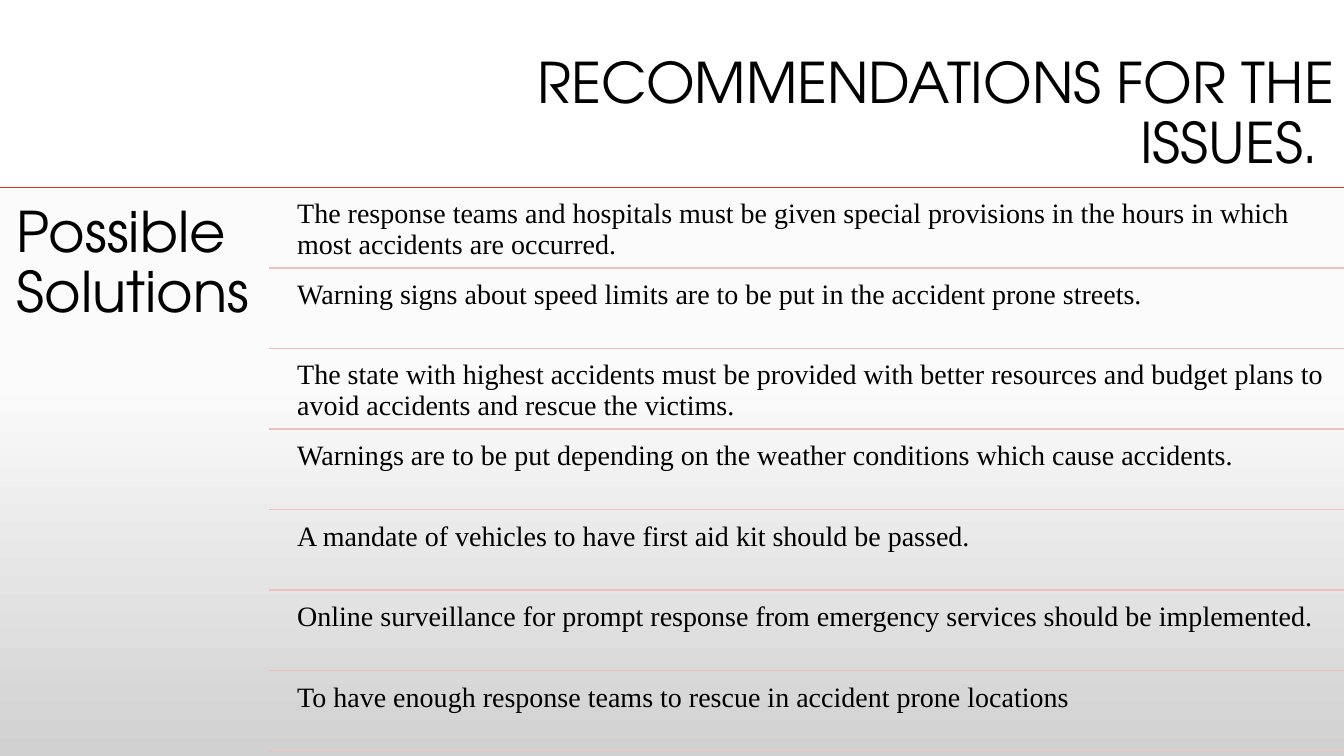
import copy
from dataclasses import dataclass

import lxml.etree
import pptx
import pptx.dml.color
import pptx.enum.shapes
import pptx.enum.text
import pptx.oxml.ns
import pptx.slide
import pptx.util

Cm = pptx.util.Cm
Pt = pptx.util.Pt
RGBColor = pptx.dml.color.RGBColor
Align = pptx.enum.text.PP_ALIGN
Anchor = pptx.enum.text.MSO_ANCHOR

BLACK = RGBColor(0x00, 0x00, 0x00)
RED = RGBColor(0xDF, 0x2E, 0x28)
PINK = RGBColor(0xF0, 0xBE, 0xBE)
BACKGROUND_STOPS = (
    (0.0, RGBColor(0xFF, 0xFF, 0xFF)),
    (0.5, RGBColor(0xFB, 0xFB, 0xFB)),
    (1.0, RGBColor(0xD1, 0xD1, 0xD1)),
)
HEADING_FONT = "TeX Gyre Adventor"
BODY_FONT = "Times New Roman"

PAGE_WIDTH = 33.87
PAGE_HEIGHT = 19.05
LIST_TOP = 4.72
HEADING_WIDTH = 6.77
ROW_LEFT = 7.28
ROW_HEIGHT = 1.93
ROW_PITCH = 2.03
ROW_GAP = ROW_PITCH - ROW_HEIGHT

SOLUTIONS = (
    "The response teams and hospitals must be given special provisions in the hours in which most accidents are occurred.",
    "Warning signs about speed limits are to be put in the accident prone streets.",
    "The state with highest accidents must be provided with better resources and budget plans to avoid accidents and rescue the victims.",
    "Warnings are to be put depending on the weather conditions which cause accidents.",
    "A mandate of vehicles to have first aid kit should be passed.",
    "Online surveillance for prompt response from emergency services should be implemented.",
    "To have enough response teams to rescue in accident prone locations",
)


@dataclass(frozen=True)
class Area:
    """A rectangle in centimetres."""
    left: float
    top: float
    width: float
    height: float


@dataclass(frozen=True)
class Rule:
    """A horizontal line running to the right page edge."""
    left: float
    top: float
    color: RGBColor
    weight: float


def add_text(page: pptx.slide.Slide, text: str, area: Area, *, font: str, size: float,
             inset_x: float, inset_y: float, align: Align = Align.LEFT,
             anchor: Anchor = Anchor.TOP) -> None:
    box = page.shapes.add_textbox(Cm(area.left), Cm(area.top), Cm(area.width), Cm(area.height))
    frame = box.text_frame
    frame.word_wrap = True
    frame.vertical_anchor = anchor
    frame.margin_left = frame.margin_right = Cm(inset_x)
    frame.margin_top = frame.margin_bottom = Cm(inset_y)
    para = frame.paragraphs[0]
    para.alignment = align
    para.line_spacing = 0.9
    span = para.add_run()
    span.text = text
    span.font.name = font
    span.font.size = Pt(size)
    span.font.color.rgb = BLACK


def add_rule(page: pptx.slide.Slide, rule: Rule) -> None:
    line = page.shapes.add_connector(
        pptx.enum.shapes.MSO_CONNECTOR.STRAIGHT,
        Cm(rule.left), Cm(rule.top), Cm(PAGE_WIDTH), Cm(rule.top))
    line.line.color.rgb = rule.color
    line.line.width = Pt(rule.weight)
    properties = line.element.find(pptx.oxml.ns.qn("p:spPr"))
    lxml.etree.SubElement(properties, pptx.oxml.ns.qn("a:effectLst"))


def paint_background(page: pptx.slide.Slide) -> None:
    fill = page.background.fill
    fill.gradient()
    fill.gradient_angle = 270
    stop_list = page.element.find(".//" + pptx.oxml.ns.qn("a:gsLst"))
    while len(stop_list) < len(BACKGROUND_STOPS):
        stop_list.append(copy.deepcopy(stop_list[0]))
    for stop, (position, color) in zip(fill.gradient_stops, BACKGROUND_STOPS):
        stop.position = position
        stop.color.rgb = color


def main() -> None:
    deck = pptx.Presentation()
    deck.slide_width = Cm(PAGE_WIDTH)
    deck.slide_height = Cm(PAGE_HEIGHT)
    page = deck.slides.add_slide(deck.slide_layouts[6])
    paint_background(page)

    add_text(page, "RECOMMENDATIONS FOR THE ISSUES. ", Area(9.96, 1.12, 23.91, 3.58),
             font=HEADING_FONT, size=40, inset_x=0.25, inset_y=0.13,
             align=Align.RIGHT, anchor=Anchor.MIDDLE)
    add_rule(page, Rule(0, LIST_TOP, RED, 0.75))
    add_text(page, "Possible Solutions",
             Area(0, LIST_TOP, HEADING_WIDTH, PAGE_HEIGHT - LIST_TOP),
             font=HEADING_FONT, size=40, inset_x=0.42, inset_y=0.42)

    for index, solution in enumerate(SOLUTIONS):
        top = LIST_TOP + ROW_GAP + index * ROW_PITCH
        add_text(page, solution, Area(ROW_LEFT, top, PAGE_WIDTH - ROW_LEFT, ROW_HEIGHT),
                 font=BODY_FONT, size=20, inset_x=0.21, inset_y=0.21)
        add_rule(page, Rule(HEADING_WIDTH, top + ROW_HEIGHT, PINK, 1))

    deck.save("out.pptx")


if __name__ == "__main__":
    main()
